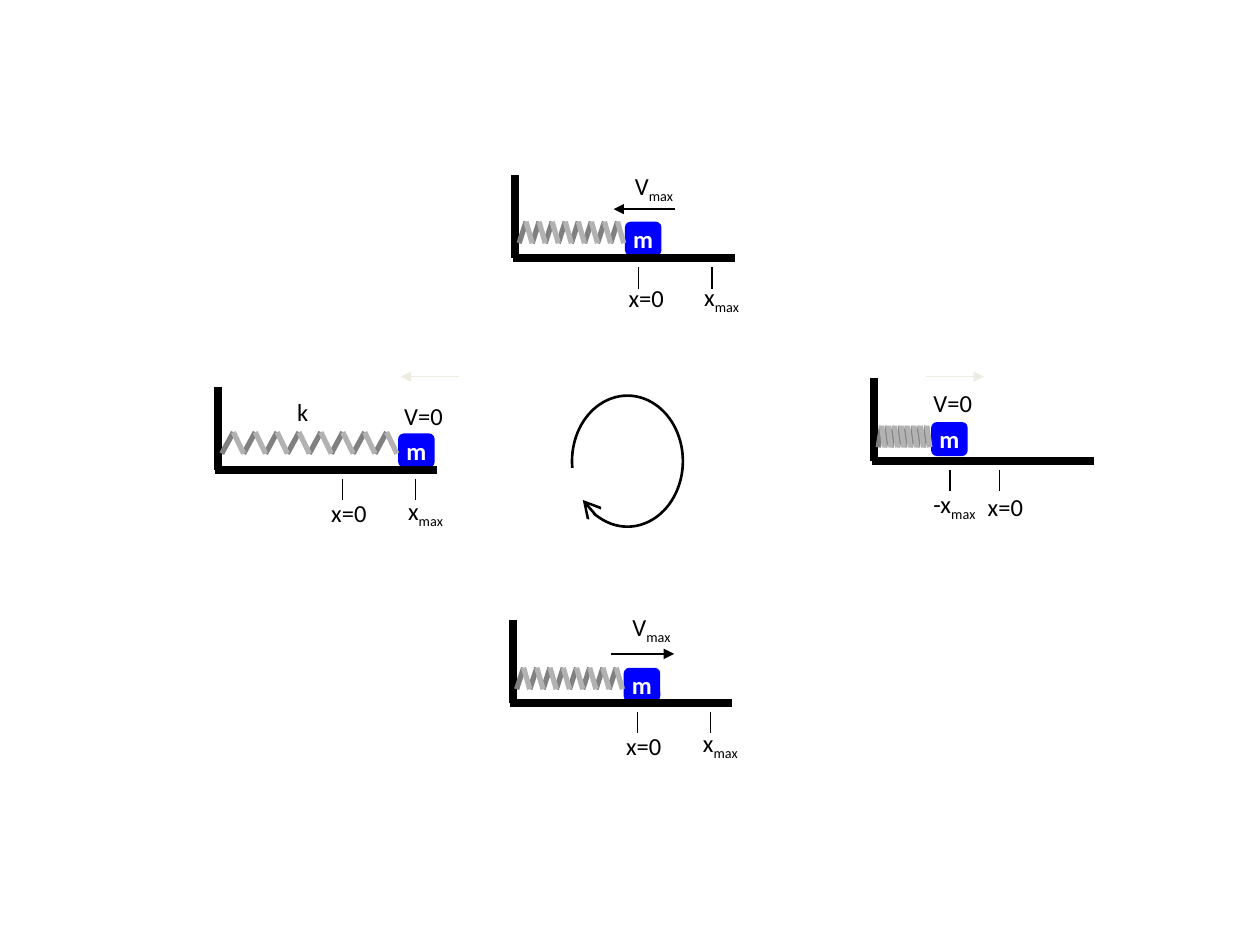
from lxml import etree
from pptx import Presentation
from pptx.dml.color import RGBColor
from pptx.enum.shapes import MSO_CONNECTOR, MSO_SHAPE
from pptx.enum.text import MSO_ANCHOR, MSO_AUTO_SIZE, PP_ALIGN
from pptx.oxml.ns import qn
from pptx.util import Inches, Pt

STRAIGHT = MSO_CONNECTOR.STRAIGHT
ROUNDED, ARC = MSO_SHAPE.ROUNDED_RECTANGLE, MSO_SHAPE.ARC
MIDDLE, CENTER = MSO_ANCHOR.MIDDLE, PP_ALIGN.CENTER
GROW = MSO_AUTO_SIZE.SHAPE_TO_FIT_TEXT

COLS, ROWS = 1000, 750
CELL = Inches(10) // COLS
BLACK, WHITE, BLUE, PALE = "000000", "FFFFFF", "0000FF", "EEECE1"
DARK_GREY, LIGHT_GREY = "808080", "B2B2B2"
FLOOR_W, WALL_H, COILS = 174, 66, 8
MASS_W, MASS_H = 29, 27

SCENES = [
    dict(at=(173, 373), mass=(143, -29), spring_top=-30,
         ticks=[(99, "x=0", "", 80, 17), (157, "x", "max", 141, 16)],
         labels=[("V=0", "", 138, -60), ("k", "", 53, -63)],
         accel_arrow=(191, 145, -74)),
    dict(at=(409, 205), mass=(87, -29), spring_top=-29,
         ticks=[(98, "x=0", "", 80, 15), (156, "x", "max", 140, 14)],
         labels=[("V", "max", 85, -74)], speed_arrow=(127, 78, -39)),
    dict(at=(694, 366), mass=(45, -31), spring_top=-28,
         ticks=[(99, "x=0", "", 80, 20), (60, "-x", "max", 37, 17)],
         labels=[("V=0", "", 37, -63)], accel_arrow=(41, 87, -67)),
    dict(at=(407, 558), mass=(88, -28), spring_top=-28,
         ticks=[(99, "x=0", "", 80, 17), (157, "x", "max", 141, 15)],
         labels=[("V", "max", 85, -77)], speed_arrow=(78, 128, -39)),
]


def rgb(value):
    return RGBColor.from_string(value)


def grid(*cells):
    return [round(c * CELL) for c in cells]


def add_run(p, text, color=BLACK, bold=None, baseline=None):
    r = p.add_run()
    r.text = text
    for key, value in dict(name="Calibri", size=Pt(14), bold=bold).items():
        setattr(r.font, key, value)
    r.font.color.rgb = rgb(color)
    if baseline:
        r.font._element.set("baseline", str(baseline))


def add_label(shapes, x, y, text, sub):
    tf = shapes.add_textbox(*grid(x, y, 58, 33)).text_frame
    for key, value in dict(word_wrap=True, auto_size=GROW).items():
        setattr(tf, key, value)
    p = tf.paragraphs[0]
    add_run(p, text)
    if sub:
        add_run(p, sub, baseline=-25000)


def add_head(shape, kind, size="med"):
    ln = shape.line._get_or_add_ln()
    etree.SubElement(ln, qn("a:tailEnd"), type=kind, w=size, len=size)


def add_line(shapes, x1, y1, x2, y2, width=0.75, color=BLACK, head=None):
    c = shapes.add_connector(STRAIGHT, *grid(x1, y1, x2, y2))
    c.line.width = Pt(width)
    c.line.color.rgb = rgb(color)
    if head:
        add_head(c, head)
    etree.SubElement(c._element.spPr, qn("a:effectLst"))


def add_mass(shapes, x, y):
    sp = shapes.add_shape(ROUNDED, *grid(x, y, MASS_W, MASS_H))
    sp.shadow.inherit = False
    sp.fill.solid()
    sp.fill.fore_color.rgb = rgb(BLUE)
    sp.line.fill.background()
    tf = sp.text_frame
    for key, value in dict(word_wrap=False, vertical_anchor=MIDDLE).items():
        setattr(tf, key, value)
    p = tf.paragraphs[0]
    p.alignment = CENTER
    add_run(p, "m", WHITE, bold=True)


def add_spring(shapes, x, y, w, h):
    pitch = w / COILS
    for i in reversed(range(COILS)):
        left = x + i * pitch
        peak = left + 0.53 * pitch
        add_line(shapes, left, y + h, peak, y, 3, DARK_GREY)
        add_line(shapes, left + pitch, y + h, peak, y, 3, LIGHT_GREY)


def add_scene(s, at, mass, spring_top, ticks, labels,
              accel_arrow=None, speed_arrow=None):
    x, y = at
    shapes = s.shapes.add_group_shape().shapes
    mass_x, mass_y = mass
    add_mass(shapes, x + mass_x, y + mass_y)
    add_line(shapes, x, y - WALL_H, x, y, 4.5)
    add_line(shapes, x - 2, y, x + FLOOR_W, y, 4.5)
    add_spring(shapes, x + 3, y + spring_top, mass_x - 4, 17)
    for tick, *label in ticks:
        add_line(shapes, x + tick, y + 7, x + tick, y + 24)
        labels = labels + [label]
    for text, sub, dx, dy in labels:
        add_label(shapes, x + dx, y + dy, text, sub)
    for arrow, parent, color in ((speed_arrow, shapes, BLACK),
                                 (accel_arrow, s.shapes, PALE)):
        if arrow:
            start, end, dy = arrow
            add_line(parent, x + start, y + dy, x + end, y + dy,
                     color=color, head="triangle")


def add_cycle(s, x, y, w, h):
    sp = s.shapes.add_shape(ARC, *grid(x, y, w, h))
    sp.shadow.inherit = False
    for i, degrees in enumerate((173, 139)):
        sp.adjustments[i] = degrees * 0.6
    sp.fill.background()
    sp.line.color.rgb = rgb(BLACK)
    sp.line.width = Pt(1.5)
    add_head(sp, "arrow", "lg")


def main():
    prs = Presentation()
    prs.slide_width, prs.slide_height = grid(COLS, ROWS)
    s = prs.slides.add_slide(prs.slide_layouts[6])
    for scene in SCENES:
        add_scene(s, **scene)
    add_cycle(s, 454, 314, 88, 104)
    prs.save("out.pptx")


if __name__ == "__main__":
    main()
